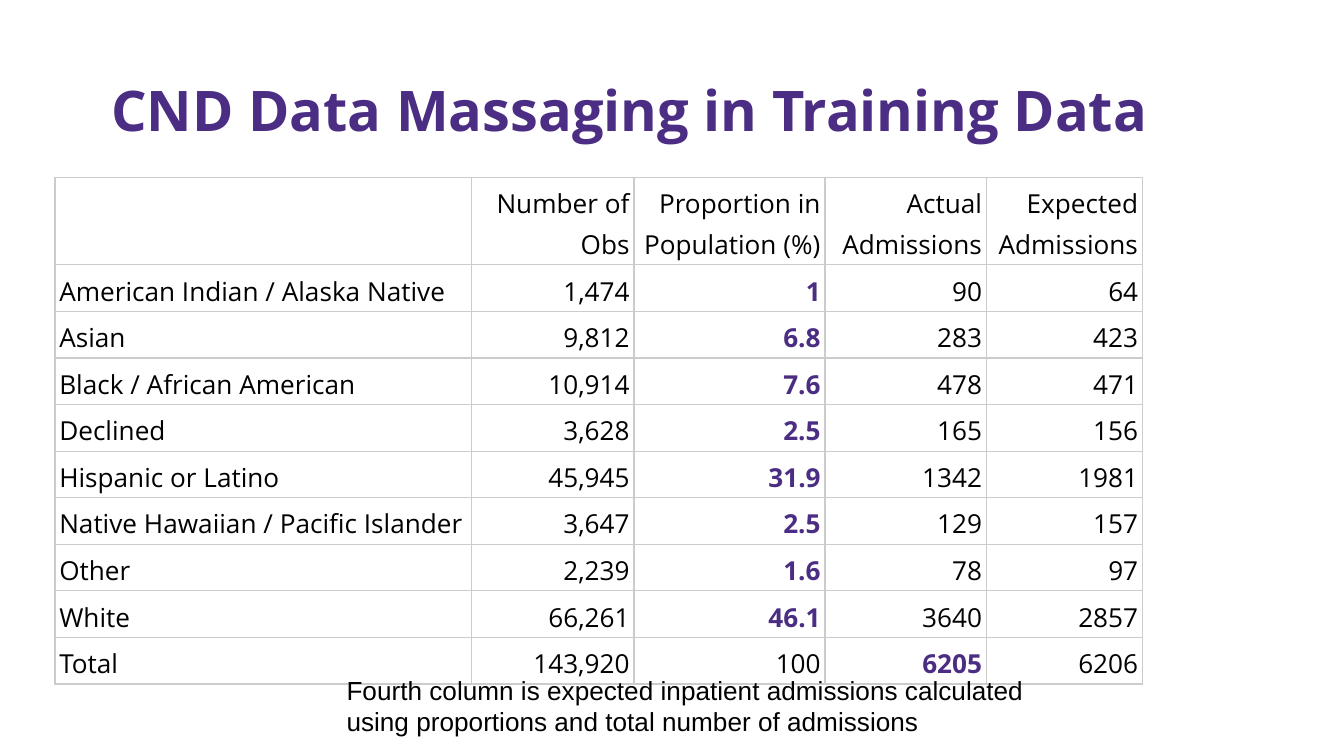
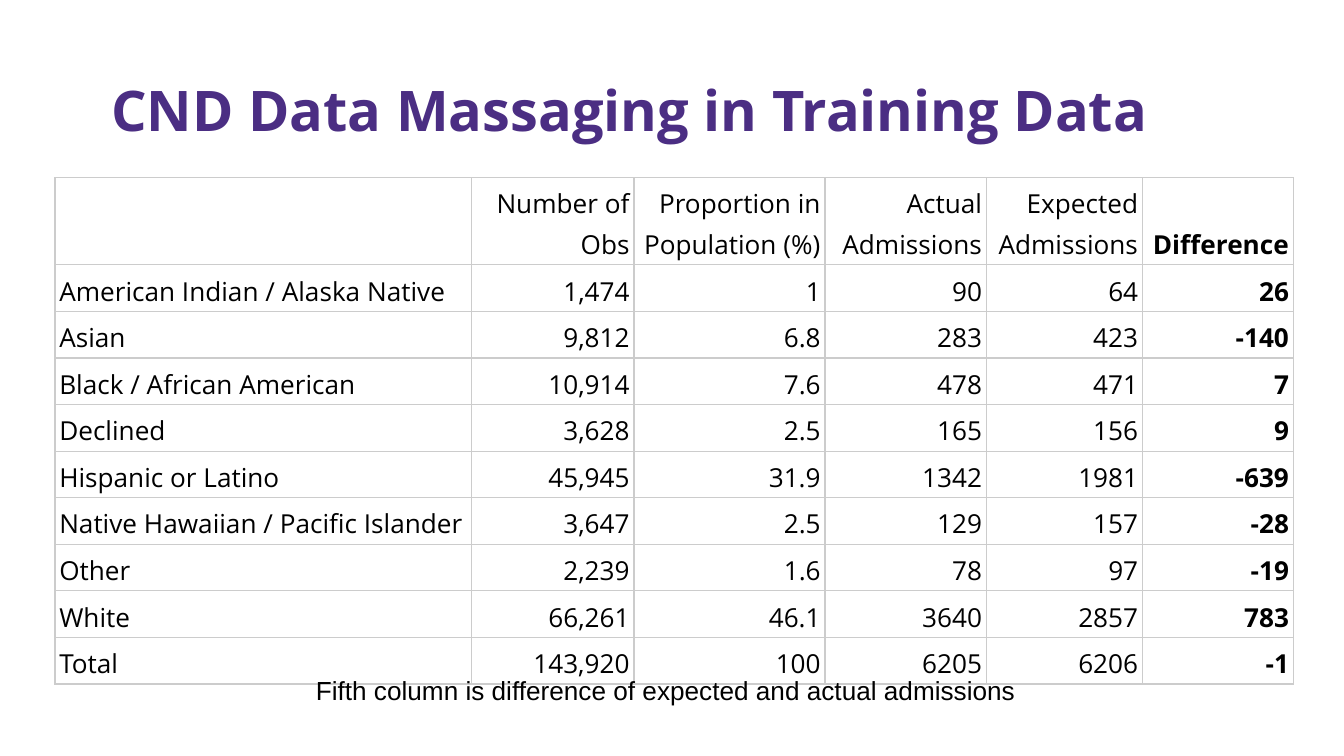
from dataclasses import dataclass

import pptx
import pptx.dml.color
import pptx.enum.text
import pptx.oxml
import pptx.oxml.ns
import pptx.presentation
import pptx.slide
import pptx.table
import pptx.text.text
import pptx.util

Cm = pptx.util.Cm
Pt = pptx.util.Pt
Align = pptx.enum.text.PP_ALIGN
Anchor = pptx.enum.text.MSO_ANCHOR
AutoSize = pptx.enum.text.MSO_AUTO_SIZE

COLORS = {"purple": "4B2E83", "text": "000000", "grid": "CCCCCC"}
HEADING = "CND Data Massaging in Training Data"
HEADING_FONT = "Open Sans"
NOTE_FONT = "Arial"
TITLE_ONLY_LAYOUT = 5
HEADER_HEIGHT = Cm(1.64)
ROW_HEIGHT = Cm(0.88)


@dataclass(frozen=True)
class Column:
    heading: str
    width: float


@dataclass(frozen=True)
class Group:
    name: str
    observations: int
    proportion: str
    actual: int
    expected: int

    def values(self) -> list[str]:
        return [self.name, f"{self.observations:,}", self.proportion,
                str(self.actual), str(self.expected), str(self.actual - self.expected)]


@dataclass(frozen=True)
class Emphasis:
    color: str
    cells: frozenset[tuple[int, int]]


@dataclass(frozen=True)
class Note:
    text: str
    left: float
    width: float
    height: float


@dataclass(frozen=True)
class AdmissionsSlide:
    column_count: int
    emphasis: Emphasis
    note: Note


COLUMNS = [
    Column("", 7.87),
    Column("Number of Obs", 3.07),
    Column("Proportion in Population (%)", 3.61),
    Column("Actual Admissions", 3.05),
    Column("Expected Admissions", 2.95),
    Column("Difference", 2.85),
]
GROUPS = [
    Group("American Indian / Alaska Native", 1474, "1", 90, 64),
    Group("Asian", 9812, "6.8", 283, 423),
    Group("Black / African American", 10914, "7.6", 478, 471),
    Group("Declined", 3628, "2.5", 165, 156),
    Group("Hispanic or Latino", 45945, "31.9", 1342, 1981),
    Group("Native Hawaiian / Pacific Islander", 3647, "2.5", 129, 157),
    Group("Other", 2239, "1.6", 78, 97),
    Group("White", 66261, "46.1", 3640, 2857),
    Group("Total", 143920, "100", 6205, 6206),
]
TOTAL_ROW = len(GROUPS)
PROPORTION, ACTUAL, DIFFERENCE = 2, 3, 5

SLIDES = [
    AdmissionsSlide(
        5,
        Emphasis("purple", frozenset({(row, PROPORTION) for row in range(1, TOTAL_ROW)}
                                     | {(TOTAL_ROW, ACTUAL)})),
        Note("Fourth column is expected inpatient admissions calculated using "
             "proportions and total number of admissions", 6.3, 13.87, 1.7),
    ),
    AdmissionsSlide(
        6,
        Emphasis("text", frozenset((row, DIFFERENCE) for row in range(TOTAL_ROW + 1))),
        Note("Fifth column is difference of expected and actual admissions",
             5.72, 13.94, 1.12),
    ),
]


def style_paragraph(paragraph: pptx.text.text._Paragraph, font: str, size: float,
                    color: str, bold: bool = False, align: Align = Align.LEFT) -> None:
    paragraph.alignment = align
    paragraph.font.name = font
    paragraph.font.size = Pt(size)
    paragraph.font.bold = bold
    paragraph.font.color.rgb = pptx.dml.color.RGBColor.from_string(COLORS[color])


def add_heading(slide: pptx.slide.Slide) -> None:
    heading = slide.shapes.title
    heading.left, heading.top = Cm(1.85), Cm(0.76)
    heading.width, heading.height = Cm(22.73), Cm(2.06)
    frame = heading.text_frame
    frame.text = HEADING
    frame.auto_size = AutoSize.NONE
    frame.vertical_anchor = Anchor.BOTTOM
    style_paragraph(frame.paragraphs[0], HEADING_FONT, 30, "purple", bold=True)


def outline_cell(cell: pptx.table._Cell) -> None:
    properties = cell._tc.get_or_add_tcPr()
    for position, side in enumerate(("lnL", "lnR", "lnT", "lnB")):
        properties.insert(position, pptx.oxml.parse_xml(
            f'<a:{side} {pptx.oxml.ns.nsdecls("a")} w="{Pt(0.75)}"><a:solidFill>'
            f'<a:srgbClr val="{COLORS["grid"]}"/></a:solidFill></a:{side}>'))


def fill_cell(cell: pptx.table._Cell, text: str, color: str, bold: bool,
              align: Align) -> None:
    cell.fill.background()
    outline_cell(cell)
    cell.margin_left = cell.margin_right = Cm(0.08)
    cell.margin_top = cell.margin_bottom = Cm(0.05)
    cell.vertical_anchor = Anchor.BOTTOM
    cell.text = text
    paragraph = cell.text_frame.paragraphs[0]
    paragraph.line_spacing = 1.15
    style_paragraph(paragraph, HEADING_FONT, 14, color, bold, align)


def add_admissions(slide: pptx.slide.Slide, column_count: int, emphasis: Emphasis) -> None:
    columns = COLUMNS[:column_count]
    rows = [[column.heading for column in COLUMNS]] + [group.values() for group in GROUPS]
    admissions = slide.shapes.add_table(
        len(rows), column_count, Cm(1.04), Cm(3.36),
        Cm(sum(column.width for column in columns)),
        HEADER_HEIGHT + ROW_HEIGHT * len(GROUPS)).table
    admissions.first_row = admissions.horz_banding = False
    for index, column in enumerate(columns):
        admissions.columns[index].width = Cm(column.width)
    for row, values in enumerate(rows):
        admissions.rows[row].height = ROW_HEIGHT if row else HEADER_HEIGHT
        for column, text in enumerate(values[:column_count]):
            emphasized = (row, column) in emphasis.cells
            fill_cell(admissions.cell(row, column), text,
                      emphasis.color if emphasized else "text", emphasized,
                      Align.RIGHT if column else Align.LEFT)


def add_note(slide: pptx.slide.Slide, note: Note) -> None:
    frame = slide.shapes.add_textbox(
        Cm(note.left), Cm(12.5), Cm(note.width), Cm(note.height)).text_frame
    frame.word_wrap = True
    frame.auto_size = AutoSize.SHAPE_TO_FIT_TEXT
    frame.margin_left = frame.margin_right = Cm(0.25)
    frame.margin_top = frame.margin_bottom = Cm(0.25)
    frame.text = note.text
    style_paragraph(frame.paragraphs[0], NOTE_FONT, 14, "text")


def add_admissions_slide(deck: pptx.presentation.Presentation,
                         content: AdmissionsSlide) -> None:
    slide = deck.slides.add_slide(deck.slide_layouts[TITLE_ONLY_LAYOUT])
    add_heading(slide)
    add_admissions(slide, content.column_count, content.emphasis)
    add_note(slide, content.note)


def main() -> None:
    deck = pptx.Presentation()
    deck.slide_width, deck.slide_height = Cm(25.4), Cm(14.29)
    for content in SLIDES:
        add_admissions_slide(deck, content)
    deck.save("out.pptx")


if __name__ == "__main__":
    main()
